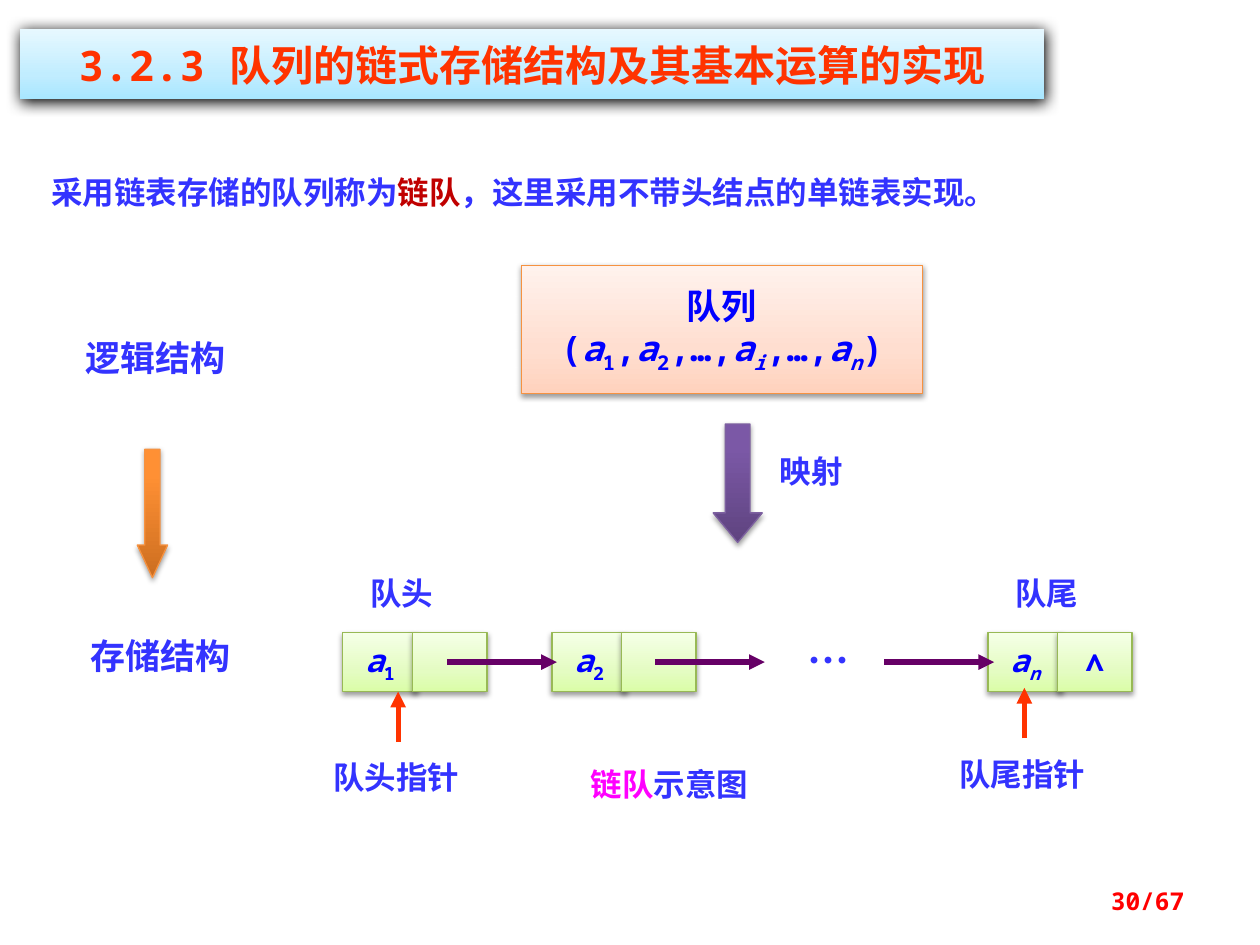
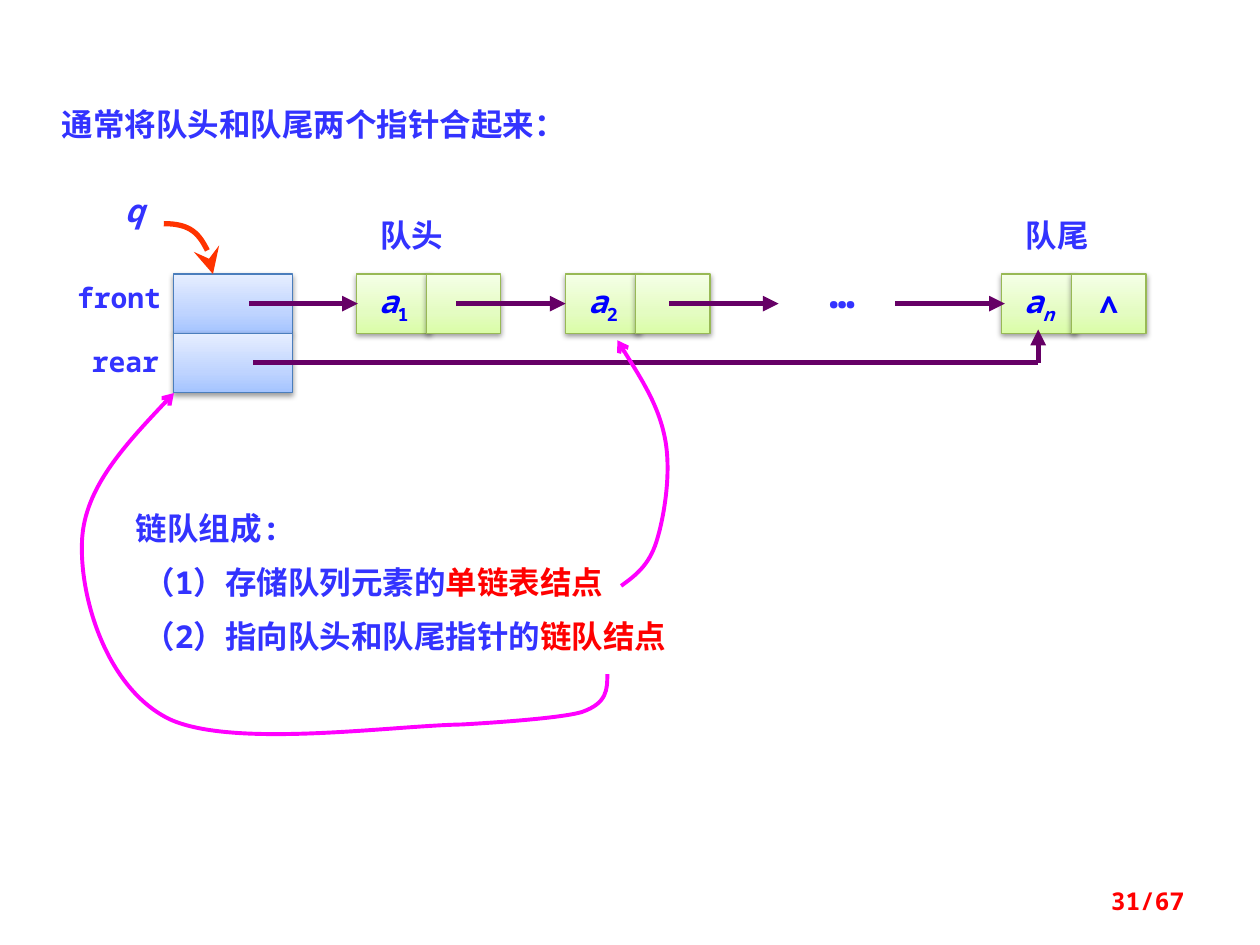
import pptx
import pptx.util
import pptx.dml.color
import pptx.enum.shapes
import pptx.enum.text
import pptx.oxml.ns
from lxml import etree

WIDTH, HEIGHT = pptx.util.Inches(10), pptx.util.Inches(7.5)
COLUMN, ROW = WIDTH / 100, HEIGHT / 75
MONO, SANS = "Noto Sans Mono", "Noto Sans CJK SC"
BLUE, DEEP_BLUE, PURPLE = "3333FF", "0000FF", "660066"
ORANGE_RED, RED, MAGENTA, DARK_RED = "FF3300", "FF0000", "FF00FF", "C00000"
PEACH = [(0, "FFD2BD"), (35, "FFDED0"), (100, "FFF2ED")]
GREEN = [(0, "DAFDA7"), (35, "E4FCC2"), (100, "F5FFE7")]
SKY = [(0, "A4C4FF"), (35, "BFD4FF"), (100, "E6EEFF")]
CYAN = [(0, "A7E6FF"), (35, "C1EDFF"), (100, "E7F8FF")]
VIOLET = [(0, "5F4480"), (80, "7B58A6"), (100, "7C57A8")]
ORANGE = [(0, "CC6E20"), (80, "FF9034"), (100, "FF9136")]
SHAPES = pptx.enum.shapes.MSO_SHAPE
ALIGN = pptx.enum.text.PP_ALIGN
ANCHOR = pptx.enum.text.MSO_ANCHOR
AUTOSIZE = pptx.enum.text.MSO_AUTO_SIZE
CELL_WIDTH, CELL_STEP, CELL_HEIGHT = 5.9, 5.55, 4.7
NODE_STEP, TAIL_OFFSET = 16.6, 51.2


def rgb(color):
    return pptx.dml.color.RGBColor.from_string(color)


def add_xml(parent, tag, **attributes):
    values = {key: str(value) for key, value in attributes.items()}
    return etree.SubElement(parent, pptx.oxml.ns.qn(tag), values)


def paint_gradient(shape, stops):
    shape.fill.gradient()
    shape.fill.gradient_angle = 90
    stop_list = shape._element.spPr.find(".//" + pptx.oxml.ns.qn("a:gsLst"))
    for old_stop in list(stop_list):
        stop_list.remove(old_stop)
    for percent, color in stops:
        stop = add_xml(stop_list, "a:gs", pos=percent * 1000)
        add_xml(stop, "a:srgbClr", val=color)


def cast_shadow(shape, opacity=38, blur=3.1, distance=1.6):
    shape.shadow.inherit = False
    effects = shape._element.spPr.find(pptx.oxml.ns.qn("a:effectLst"))
    shadow = add_xml(effects, "a:outerShdw", blurRad=pptx.util.Pt(blur),
                     dist=pptx.util.Pt(distance), dir=5400000, rotWithShape=0)
    color = add_xml(shadow, "a:srgbClr", val="000000")
    add_xml(color, "a:alpha", val=opacity * 1000)


def draw_line(line, color, weight, head=None, head_size="med"):
    line.color.rgb = rgb(color)
    line.width = pptx.util.Pt(weight)
    if head:
        add_xml(line._get_or_add_ln(), "a:tailEnd", type=head,
                w=head_size, len=head_size)


def write_paragraph(paragraph, runs, size, color, align, font=MONO):
    runs = [(runs, {})] if isinstance(runs, str) else runs
    paragraph.alignment = align
    paragraph.font.size = pptx.util.Pt(size)
    paragraph.font.bold = True
    paragraph.font.name = font
    add_xml(paragraph.font._element, "a:ea", typeface=SANS)
    paragraph.font.color.rgb = rgb(color)
    for words, style in runs:
        run = paragraph.add_run()
        run.text = words
        if "color" in style:
            run.font.color.rgb = rgb(style["color"])
        if style.get("italic"):
            run.font.italic = True
        if style.get("subscript"):
            run.font._element.set("baseline", "-25000")


def variable(index):
    return [("a", {"italic": True}),
            (index, {"italic": index.isalpha(), "subscript": True})]


class Region:
    def __init__(self, slide, left=0, top=0):
        self.shapes, self.left, self.top = slide.shapes, left, top

    def point(self, x, y):
        return round((self.left + x) * COLUMN), round((self.top + y) * ROW)

    def box(self, x, y, width, height):
        return *self.point(x, y), round(width * COLUMN), round(height * ROW)

    def label(self, x, y, width, runs, size=18, color=BLUE, align=ALIGN.CENTER,
              font=MONO, height=4):
        frame = self.shapes.add_textbox(*self.box(x, y, width, height)).text_frame
        frame.word_wrap = True
        frame.auto_size = AUTOSIZE.SHAPE_TO_FIT_TEXT
        write_paragraph(frame.paragraphs[0], runs, size, color, align, font)
        return frame

    def block(self, kind, x, y, width, height, stops, border, lines=(), size=18):
        shape = self.shapes.add_shape(kind, *self.box(x, y, width, height))
        paint_gradient(shape, stops)
        draw_line(shape.line, border, 0.75)
        cast_shadow(shape)
        frame = shape.text_frame
        frame.word_wrap = False
        frame.vertical_anchor = ANCHOR.MIDDLE
        for number, runs in enumerate(lines):
            paragraph = frame.add_paragraph() if number else frame.paragraphs[0]
            write_paragraph(paragraph, runs, size, DEEP_BLUE, ALIGN.CENTER)
        return shape

    def straight(self, start, end, color=PURPLE, head="triangle"):
        connector = self.shapes.add_connector(
            pptx.enum.shapes.MSO_CONNECTOR.STRAIGHT,
            *self.point(*start), *self.point(*end))
        draw_line(connector.line, color, 3, head)
        add_xml(connector._element.spPr, "a:effectLst")

    def curve(self, start, bends, color, weight, head, head_size="med"):
        builder = self.shapes.build_freeform(*self.point(*start))
        builder.add_line_segments([self.point(*bend) for bend in bends], close=False)
        curve = builder.convert_to_shape()
        outline = curve._element.spPr.find(".//" + pptx.oxml.ns.qn("a:path"))
        for number, segment in enumerate(outline.findall(pptx.oxml.ns.qn("a:lnTo"))):
            if number % 3 == 0:
                bezier = add_xml(outline, "a:cubicBezTo")
            bezier.append(segment[0])
            outline.remove(segment)
        curve.fill.background()
        draw_line(curve.line, color, weight, head, head_size)
        curve.shadow.inherit = False


def add_title(slide, words):
    title = slide.shapes.title
    title.left, title.top, title.width, title.height = Region(slide).box(
        1.6, 2.3, 81.3, 5.6)
    paint_gradient(title, CYAN)
    cast_shadow(title, 100, 8.5, 1)
    frame = title.text_frame
    frame.auto_size = AUTOSIZE.NONE
    frame.margin_top = frame.margin_bottom = 0
    frame.vertical_anchor = ANCHOR.MIDDLE
    write_paragraph(frame.paragraphs[0], words, 24, ORANGE_RED, ALIGN.CENTER)


def add_page_number(slide, number):
    frame = Region(slide, 71.7, 69.5).label(
        0, 0, 23.3, f"{number}/67", 14, RED, ALIGN.RIGHT)
    frame.auto_size = AUTOSIZE.NONE
    frame.vertical_anchor = ANCHOR.MIDDLE


def add_chain(slide, left, top, ellipsis_font, ellipsis_top, label_shift, links):
    chain = Region(slide, left, top)
    nodes = [(0, variable("1"), None), (NODE_STEP, variable("2"), None),
             (TAIL_OFFSET, variable("n"), "∧")]
    for x, data, link in nodes:
        for offset, runs in ((0, data), (CELL_STEP, link)):
            chain.block(SHAPES.RECTANGLE, x + offset, 0, CELL_WIDTH, CELL_HEIGHT,
                        GREEN, "98B955", [runs] if runs else [])
    middle = CELL_HEIGHT / 2
    for x in links:
        chain.straight((x, middle), (x + 8.7, middle))
    chain.label(33.8, ellipsis_top, 9.5, "…", 24, font=ellipsis_font, height=5)
    for x, words in ((0, "队头"), (TAIL_OFFSET, "队尾")):
        chain.label(x + label_shift, -5.1, 11, words)


def add_structure_mapping(slide, left, top):
    mapping = Region(slide, left, top)
    sequence = [("(", {}), *variable("1"), (",", {}), *variable("2"),
                (",…,", {}), *variable("i"), (",…,", {}), *variable("n"),
                (")", {})]
    mapping.block(SHAPES.RECTANGLE, 35.6, 0, 31.8, 10.2, PEACH, "F69240",
                  ["队列", sequence], 20)
    arrows = [(50.8, 12.6, 3.9, 9.4, VIOLET, "7D60A0", 0.6),
              (5.1, 14.6, 2.4, 10.2, ORANGE, "F69240", 1.08)]
    for x, y, width, height, stops, border, head in arrows:
        arrow = mapping.block(SHAPES.DOWN_ARROW, x, y, width, height, stops, border)
        arrow.adjustments[1] = head
    mapping.label(55.1, 14.3, 9.3, "映射", align=ALIGN.LEFT)
    for x, y, words in ((0, 5.2, "逻辑结构"), (0.4, 28.8, "存储结构")):
        mapping.label(x, y, 18.4, words, 20, align=ALIGN.LEFT)


def add_end_pointers(slide, left, top):
    pointers = Region(slide, left, top)
    for x, y, words in ((0, 0.3, "队头指针"), (49.7, 0, "队尾指针")):
        pointers.straight((x + 8.8, y + 4), (x + 8.8, y), ORANGE_RED)
        pointers.label(x, y + 4.8, 17.3, words)
    pointers.label(19.4, 5.6, 21.9,
                   [("链队", {"color": MAGENTA}), ("示意图", {})])


def add_queue_node(slide, left, top):
    node = Region(slide, left, top)
    for y in (0, CELL_HEIGHT):
        node.block(SHAPES.RECTANGLE, 0, y, 9.4, CELL_HEIGHT, SKY, "4B7EBC")
    node.straight((6, 2.35), (14.6, 2.35))
    node.straight((6.3, 7), (68.6, 7), head=None)
    node.straight((68.6, 7.1), (68.6, 4.4))
    node.curve((-0.8, -4), [(1.4, -4), (3.1, -2.2), (3.1, 0)],
               ORANGE_RED, 3, "stealth", "lg")
    node.label(-5.5, -7.1, 4.7, [("q", {"italic": True})])
    node.label(-9.6, 0, 10.5, "front", 16)
    node.label(-8.2, 5.1, 8.7, "rear", 16)


def add_composition(slide, left, top):
    composition = Region(slide, left, top)
    frame = composition.label(0, 0, 55.8, "链队组成:", align=ALIGN.JUSTIFY,
                              height=13.1)
    parts = [("（1）存储队列元素的", "单链表结点"),
             ("（2）指向队头和队尾指针的", "链队结点")]
    for description, part in parts:
        paragraph = frame.add_paragraph()
        write_paragraph(paragraph, [(description, {}), (part, {"color": RED})],
                        18, BLUE, ALIGN.JUSTIFY)
        paragraph.space_before = pptx.util.Pt(9.4)
        paragraph._p.get_or_add_pPr().set("marL", str(pptx.util.Inches(0.06)))
    composition.curve((39.5, 6.6), [
        (40.6, 5.8), (41.7, 5), (42.3, 3.1),
        (42.9, 1.2), (43.5, -2.3), (43, -5),
        (42.5, -7.7), (40.8, -10.3), (39.2, -12.9)], MAGENTA, 2.25, "arrow")
    composition.curve((38.4, 13.6), [
        (38.4, 14.8), (38.4, 15.9), (36.4, 16.6),
        (34.5, 17.2), (26.8, 17.6), (26.8, 17.6),
        (21.3, 17.7), (8.8, 19.5), (3.7, 17.2),
        (-1.3, 14.8), (-3.4, 7.7), (-3.3, 3.4),
        (-3.3, -0.9), (0.3, -4.8), (4, -8.7)], MAGENTA, 2.25, "arrow")


def build_linked_queue(presentation):
    slide = presentation.slides.add_slide(presentation.slide_layouts[5])
    add_title(slide, "3.2.3 队列的链式存储结构及其基本运算的实现")
    Region(slide).label(3.1, 13.25, 77.3, [
        ("采用链表存储的队列称为", {}), ("链队", {"color": DARK_RED}),
        ("，这里采用不带头结点的单链表实现。", {})], align=ALIGN.LEFT)
    add_structure_mapping(slide, 5.8, 21.05)
    add_chain(slide, 27.2, 50.2, SANS, -0.3, -0.8, (8.3, 24.8, 43))
    add_end_pointers(slide, 22.8, 54.6)
    add_page_number(slide, 30)


def build_queue_node(presentation):
    slide = presentation.slides.add_slide(presentation.slide_layouts[6])
    Region(slide).label(3.9, 7.85, 57.8, "通常将队头和队尾两个指针合起来：",
                        align=ALIGN.LEFT)
    add_chain(slide, 28.3, 21.75, MONO, -1.05, -1.1, (7.9, 24.8, 42.75))
    add_queue_node(slide, 13.8, 21.75)
    add_composition(slide, 9.8, 39.9)
    add_page_number(slide, 31)


def main():
    presentation = pptx.Presentation()
    presentation.slide_width, presentation.slide_height = WIDTH, HEIGHT
    build_linked_queue(presentation)
    build_queue_node(presentation)
    presentation.save("out.pptx")


if __name__ == "__main__":
    main()
